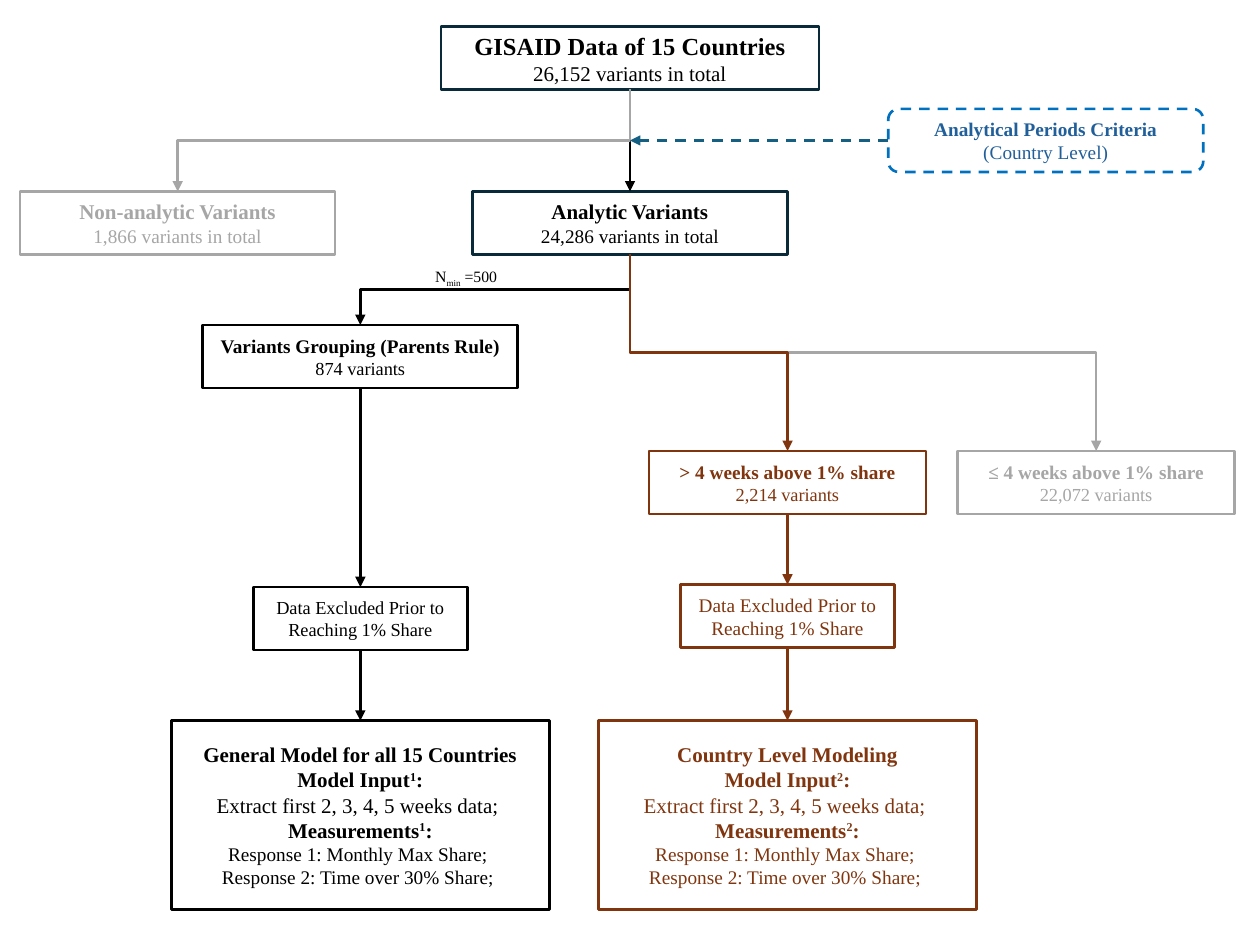
from dataclasses import dataclass

from lxml import etree
from pptx import Presentation
from pptx import util as u
from pptx.dml.color import RGBColor
from pptx.enum import dml, shapes, text
from pptx.oxml.ns import qn

FONT = "Times New Roman"
BLACK, GREY, BROWN = "000000", "A6A6A6", "80350E"
NAVY, BLUE, BLUE_TEXT, TEAL = "092A39", "0070C0", "215F9A", "156082"


@dataclass
class Box:
    left: float
    top: float
    width: float
    height: float

    @property
    def mid(self):
        return self.left + self.width / 2

    @property
    def bottom(self):
        return self.top + self.height

    @property
    def head(self):
        return self.mid, self.top

    @property
    def foot(self):
        return self.mid, self.bottom

    def inches(self):
        return [u.Inches(v) for v in (self.left, self.top, self.width, self.height)]


def centred(mid, top, width, height=0.5):
    return Box(mid - width / 2, top, width, height)


def color(value):
    return RGBColor.from_string(value)


def style_line(line, value, dashed=False):
    line.color.rgb = color(value)
    line.width = u.Pt(1.5)
    if dashed:
        line.dash_style = dml.MSO_LINE.DASH


def write(frame, lines, ink):
    """Each line is (size, bold, words); words alternate plain and raised or lowered parts."""
    frame.word_wrap = True
    for i, (size, bold, words) in enumerate(lines):
        para = frame.paragraphs[0] if i == 0 else frame.add_paragraph()
        para.alignment = text.PP_ALIGN.CENTER
        for part, baseline in [(words, 0)] if isinstance(words, str) else words:
            span = para.add_run()
            span.text = part
            formats = {"name": FONT, "size": u.Pt(size), "bold": bold}
            for name, value in formats.items():
                setattr(span.font, name, value)
            span.font.color.rgb = color(ink)
            if baseline:
                span.font._element.set("baseline", str(baseline * 1000))


def node(page, box, lines, ink=BLACK, edge=None, rounded=False):
    kind = shapes.MSO_SHAPE.ROUNDED_RECTANGLE if rounded else shapes.MSO_SHAPE.RECTANGLE
    shape = page.shapes.add_shape(kind, *box.inches())
    shape.shadow.inherit = False
    shape.fill.background()
    style_line(shape.line, edge or ink, dashed=rounded)
    shape.text_frame.vertical_anchor = text.MSO_ANCHOR.MIDDLE
    write(shape.text_frame, lines, ink)
    return box


def arrow(page, start, end, ink, dashed=False, elbow=False):
    """Straight arrow, or an elbow that leaves and arrives vertically."""
    kind = shapes.MSO_CONNECTOR.ELBOW if elbow else shapes.MSO_CONNECTOR.STRAIGHT
    (x1, y1), (x2, y2) = start, end
    if elbow:
        # Lay the elbow on its side about its centre, then turn it
        across, down = abs(x2 - x1), y2 - y1
        mid_x, mid_y = (x1 + x2) / 2, (y1 + y2) / 2
        rightward = x2 > x1
        x1, x2 = mid_x - down / 2, mid_x + down / 2
        y1, y2 = mid_y - across / 2, mid_y + across / 2
    line = page.shapes.add_connector(kind, *[u.Inches(v) for v in (x1, y1, x2, y2)])
    properties = line._element.spPr
    if elbow:
        frame = properties.find(qn("a:xfrm"))
        frame.set("rot", str((270 if rightward else 90) * 60000))
        if rightward:
            frame.set("flipH", "1")
    style_line(line.line, ink, dashed)
    etree.SubElement(properties.find(qn("a:ln")), qn("a:tailEnd"), type="triangle")
    etree.SubElement(properties, qn("a:effectLst"))


def source_region(page, box):
    """Source data, its split and the criteria; returns the analytic box."""
    source = node(page, centred(box.mid, box.top, 3), [
        (14, True, "GISAID Data of 15 Countries"),
        (12, False, "26,152 variants in total")], edge=NAVY)
    row = box.bottom - 0.5
    dropped = node(page, Box(box.left, row, 2.5, 0.5), [
        (12, True, "Non-analytic Variants"),
        (11, False, "1,866 variants in total")], GREY)
    analytic = node(page, centred(box.mid, row, 2.5), [
        (12, True, "Analytic Variants"),
        (11, False, "24,286 variants in total")], edge=NAVY)
    arrow(page, source.foot, analytic.head, BLACK)
    arrow(page, source.foot, dropped.head, GREY, elbow=True)

    # Criteria, level with the split
    level = (source.bottom + row) / 2
    criteria = node(page, Box(7.05, level - 0.25, 2.5, 0.5), [
        (11, True, "Analytical Periods Criteria"),
        (11, False, "(Country Level)")], BLUE_TEXT, BLUE, rounded=True)
    arrow(page, (criteria.left, level), (box.mid, level), TEAL, dashed=True)
    return analytic


def model_region(page, box, parent, exclude_top, exclude_size, title, note, ink):
    """Exclusion step and model box below a parent box."""
    exclude = node(page, centred(box.mid, exclude_top, 1.7), [
        (exclude_size, False, "Data Excluded Prior to Reaching 1% Share")], ink)
    model = node(page, box, [
        (12, True, title),
        (12, True, [("Model Input", 0), (note, 30), (":", 0)]),
        (12, False, "Extract first 2, 3, 4, 5 weeks data; "),
        (12, True, [("Measurements", 0), (note, 30), (":", 0)]),
        (11, False, "Response 1: Monthly Max Share; "),
        (11, False, "Response 2: Time over 30% Share; ")], ink)
    arrow(page, parent.foot, exclude.head, ink)
    arrow(page, exclude.foot, model.head, ink)


def general_region(page, box, analytic):
    grouping = node(page, centred(box.mid, box.top, 2.5), [
        (11, True, "Variants Grouping (Parents Rule)"),
        (10.5, False, "874 variants")])
    arrow(page, analytic.foot, grouping.head, BLACK, elbow=True)

    # Threshold label above the elbow
    label = page.shapes.add_textbox(*Box(box.left + 1.55, box.top - 0.51, 1.61, 0.25).inches())
    write(label.text_frame, [(9, False, [("N", 0), ("min", -25), (" =500 ", 0)])], BLACK)

    model_region(page, centred(box.mid, box.bottom - 1.5, 3, 1.5), grouping, 4.66, 10.5,
                 "General Model for all 15 Countries", "1", BLACK)


def country_region(page, box, analytic):
    mid = box.left + 1.5
    kept = node(page, centred(mid, box.top, 2.2), [
        (11, True, "> 4 weeks above 1% share"),
        (10.5, False, "2,214 variants")], BROWN)
    dropped = node(page, Box(box.left + box.width - 2.2, box.top, 2.2, 0.5), [
        (11, True, "≤ 4 weeks above 1% share"),
        (10.5, False, "22,072 variants")], GREY)
    arrow(page, analytic.foot, dropped.head, GREY, elbow=True)
    arrow(page, analytic.foot, kept.head, BROWN, elbow=True)
    model_region(page, centred(mid, box.bottom - 1.5, 3, 1.5), kept, 4.64, 11,
                 "Country Level Modeling", "2", BROWN)


def main():
    deck = Presentation()
    deck.slide_width, deck.slide_height = u.Inches(10), u.Inches(7.5)
    page = deck.slides.add_slide(deck.slide_layouts[6])
    analytic = source_region(page, Box(0.16, 0.21, 9.68, 1.81))
    general_region(page, Box(1.36, 2.58, 3, 4.64), analytic)
    country_region(page, Box(4.75, 3.58, 5.05, 3.64), analytic)
    deck.save("out.pptx")


if __name__ == "__main__":
    main()
